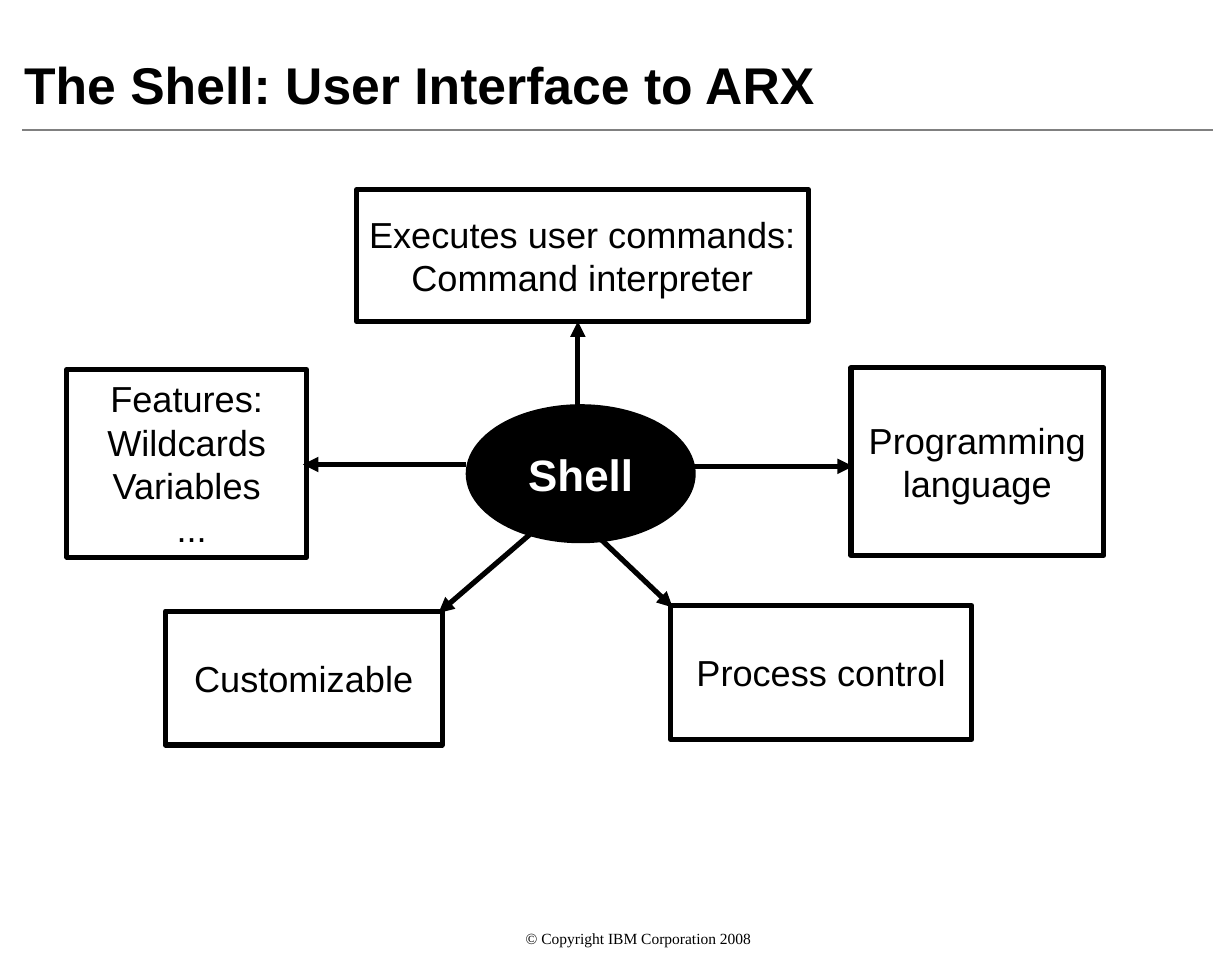
from lxml import etree
from pptx import Presentation, util as u
from pptx.dml.color import RGBColor
from pptx.enum import shapes, text
from pptx.oxml.ns import qn

WIDTH, HEIGHT = 6.63, 5.13
BLACK, WHITE, GRAY = "000000", "FFFFFF", "808080"

TOPICS = [
    (["Executes user commands:", "Command interpreter"],
     (27.96, 0, 43.55, 23.75), (49.28, 38.8), (49.28, 23.75)),
    (["Features:", "Wildcards", "Variables", " ..."],
     (0, 32.44, 23.12, 33.78), (38.53, 49.5), (22.76, 49.5)),
    (["Customizable"],
     (9.5, 75.92, 26.7, 24.08), (44.8, 61.87), (35.84, 76.25)),
    (["Process control"],
     (58.24, 74.92, 29.03, 24.08), (51.25, 62.54), (58.42, 75.25)),
    (["Programming language"],
     (75.63, 32.11, 24.37, 33.78), (60.22, 49.83), (75.81, 49.83)),
]


def color(code):
    return RGBColor.from_string(code)


def point(region, x, y):
    left, top, width, height = region
    return u.Inches(left + width * x / 100), u.Inches(top + height * y / 100)


def area(region, x, y, width, height):
    return (*point(region, x, y), u.Inches(region[2] * width / 100),
            u.Inches(region[3] * height / 100))


def write(frame, lines, size, ink=BLACK, font="Arial", bold=False,
          align=text.PP_ALIGN.CENTER, anchor=text.MSO_ANCHOR.MIDDLE,
          margins=(0, 0, 0, 0)):
    frame.word_wrap = True
    frame.vertical_anchor = anchor
    (frame.margin_left, frame.margin_top,
     frame.margin_right, frame.margin_bottom) = map(u.Inches, margins)
    frame.text = "\n".join(lines)
    for paragraph in frame.paragraphs:
        paragraph.alignment = align
        paragraph.font.size = u.Pt(size)
        paragraph.font.name = font
        paragraph.font.bold = bold
        paragraph.font.color.rgb = color(ink)


def add_node(slide, kind, box, fill, lines, size, **style):
    node = slide.shapes.add_shape(kind, *box)
    node.shadow.inherit = False
    node.fill.solid()
    node.fill.fore_color.rgb = color(fill)
    node.line.color.rgb = color(BLACK)
    node.line.width = u.Pt(2)
    write(node.text_frame, lines, size, **style)
    return node


def add_line(slide, start, end, ink, width, arrow=False):
    line = slide.shapes.add_connector(shapes.MSO_CONNECTOR.STRAIGHT, *start, *end)
    line.line.color.rgb = color(ink)
    line.line.width = u.Pt(width)
    if arrow:
        etree.SubElement(line.line._get_or_add_ln(), qn("a:tailEnd"), type="triangle")
    etree.SubElement(line._element.spPr, qn("a:effectLst"))


def add_header(slide, region):
    title = slide.shapes.add_textbox(*area(region, 0, 0, 100, 92.2))
    write(title.text_frame, ["The Shell: User Interface to ARX"], 20, bold=True,
          align=text.PP_ALIGN.LEFT, anchor=text.MSO_ANCHOR.BOTTOM,
          margins=(0.07, 0.03, 0.07, 0.03))
    add_line(slide, point(region, 0.92, 100), point(region, 99.7, 100), GRAY, 1)


def add_diagram(slide, region):
    shell = add_node(slide, shapes.MSO_SHAPE.OVAL,
                     area(region, 38.71, 39.13, 21.68, 24.08),
                     BLACK, ["Shell"], 17, ink=WHITE, bold=True)
    shell.text_frame.word_wrap = False
    for lines, box, start, end in TOPICS:
        add_node(slide, shapes.MSO_SHAPE.RECTANGLE, area(region, *box),
                 WHITE, lines, 14)
        add_line(slide, point(region, *start), point(region, *end), BLACK, 2, True)


def add_footer(slide, region):
    footer = slide.shapes.add_textbox(*area(region, 0, 0, 100, 100))
    write(footer.text_frame, ["© Copyright IBM Corporation 2008"], 6,
          font="Times New Roman", anchor=text.MSO_ANCHOR.TOP,
          margins=(0.24, 0, 0, 0))


def main():
    deck = Presentation()
    deck.slide_width, deck.slide_height = u.Inches(WIDTH), u.Inches(HEIGHT)
    slide = deck.slides.add_slide(deck.slide_layouts[6])
    add_header(slide, (0.06, 0.06, 6.49, 0.64))
    add_diagram(slide, (0.36, 1.02, 5.58, 2.99))
    add_footer(slide, (0, 5, WIDTH, 0.13))
    deck.save("out.pptx")


if __name__ == "__main__":
    main()
